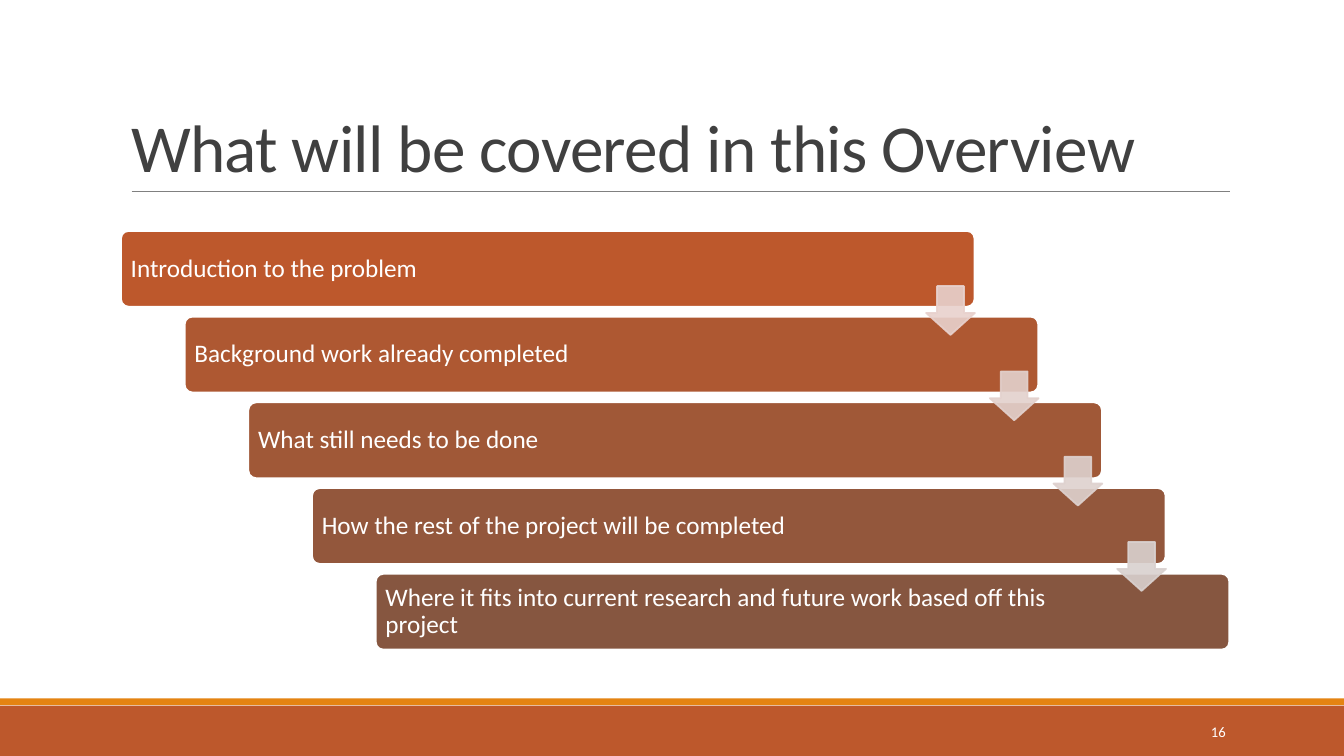
from lxml import etree
from pptx import Presentation
from pptx.dml.color import RGBColor
from pptx.enum.shapes import MSO_CONNECTOR, MSO_SHAPE
from pptx.enum.text import MSO_ANCHOR, MSO_AUTO_SIZE, PP_ALIGN
from pptx.oxml.ns import qn
from pptx.util import Cm, Pt

WHITE = RGBColor(0xFF, 0xFF, 0xFF)
TITLE_GREY = RGBColor(0x40, 0x40, 0x40)
RULE_GREY = RGBColor(0x80, 0x80, 0x80)
RUST = RGBColor(0xBD, 0x58, 0x2C)
ORANGE = RGBColor(0xE4, 0x83, 0x12)

TOPICS = [
    ("Introduction to the problem", RUST),
    ("Background work already completed", RGBColor(0xAE, 0x58, 0x32)),
    ("What still needs to be done", RGBColor(0xA0, 0x58, 0x37)),
    ("How the rest of the project will be completed", RGBColor(0x93, 0x57, 0x3C)),
    ("Where it fits into current research and future work based off this project",
     RGBColor(0x86, 0x56, 0x40)),
]
ARROW_COLOURS = [
    RGBColor(0xE8, 0xD1, 0xCD),
    RGBColor(0xE3, 0xD1, 0xCD),
    RGBColor(0xDE, 0xD1, 0xCE),
    RGBColor(0xD9, 0xD1, 0xCF),
]


def add_filled(kind, left, top, width, height, fill, line=None):
    """Add a shadowless shape, measured in cm, with an outline only if line is given."""
    shape = slide.shapes.add_shape(kind, Cm(left), Cm(top), Cm(width), Cm(height))
    shape.shadow.inherit = False
    shape.fill.solid()
    shape.fill.fore_color.rgb = fill
    if line is None:
        shape.line.fill.background()
    else:
        shape.line.color.rgb = line
        shape.line.width = Pt(1.25)
    return shape


def add_text(paragraph, text, size, colour):
    run = paragraph.add_run()
    run.text = text
    run.font.name = "Calibri"
    run.font.size = Pt(size)
    run.font.color.rgb = colour
    return run


prs = Presentation()
prs.slide_width = Cm(33.87)
prs.slide_height = Cm(19.05)
slide = prs.slides.add_slide(prs.slide_layouts[5])

# Footer bands and the rule under the title
add_filled(MSO_SHAPE.RECTANGLE, 0, 17.78, 33.87, 1.27, RUST)
add_filled(MSO_SHAPE.RECTANGLE, 0, 17.6, 33.87, 0.17, ORANGE)
title_rule = slide.shapes.add_connector(
    MSO_CONNECTOR.STRAIGHT, Cm(3.32), Cm(4.82), Cm(31), Cm(4.82))
title_rule.line.color.rgb = RULE_GREY
title_rule.line.width = Pt(0.5)
etree.SubElement(title_rule._element.spPr, qn("a:effectLst"))

# Title
title = slide.shapes.title
title.left, title.top, title.width, title.height = Cm(3.05), Cm(0.79), Cm(27.94), Cm(4.04)
title.text_frame.auto_size = MSO_AUTO_SIZE.NONE
title.text_frame.vertical_anchor = MSO_ANCHOR.BOTTOM
heading = title.text_frame.paragraphs[0]
heading.alignment = PP_ALIGN.LEFT
heading.line_spacing = 0.85
heading_run = add_text(heading, "What will be covered in this Overview", 48, TITLE_GREY)
heading_run.font._element.set("spc", "-50")

# Staircase of topics
for step, (topic, colour) in enumerate(TOPICS):
    bar = add_filled(MSO_SHAPE.ROUNDED_RECTANGLE, 3.05 + 1.605 * step, 5.82 + 2.16 * step,
                     21.51, 1.91, colour, WHITE)
    bar.adjustments[0] = 0.1
    frame = bar.text_frame
    frame.word_wrap = True
    frame.vertical_anchor = MSO_ANCHOR.MIDDLE
    frame.margin_left = Cm(0.19)
    frame.margin_right = Cm(3.07)
    frame.margin_top = frame.margin_bottom = Cm(0.18)
    line = frame.paragraphs[0]
    line.alignment = PP_ALIGN.LEFT
    line.line_spacing = 0.9
    add_text(line, topic, 18, WHITE)

# Translucent arrows from each topic to the next
for step, colour in enumerate(ARROW_COLOURS):
    arrow = add_filled(MSO_SHAPE.DOWN_ARROW, 23.34 + 1.605 * step, 7.21 + 2.15 * step,
                       1.23, 1.23, colour, colour)
    arrow.adjustments[0] = 0.55
    arrow.adjustments[1] = 0.45
    for tint in arrow._element.spPr.iter(qn("a:srgbClr")):
        etree.SubElement(tint, qn("a:alpha"), val="90000")

# Slide number
number_box = slide.shapes.add_textbox(Cm(27.51), Cm(17.93), Cm(3.63), Cm(1.02))
number_box.text_frame.word_wrap = True
number_box.text_frame.vertical_anchor = MSO_ANCHOR.MIDDLE
number_line = number_box.text_frame.paragraphs[0]
number_line.alignment = PP_ALIGN.RIGHT
add_text(number_line, "16", 10.5, WHITE)

prs.save("out.pptx")
